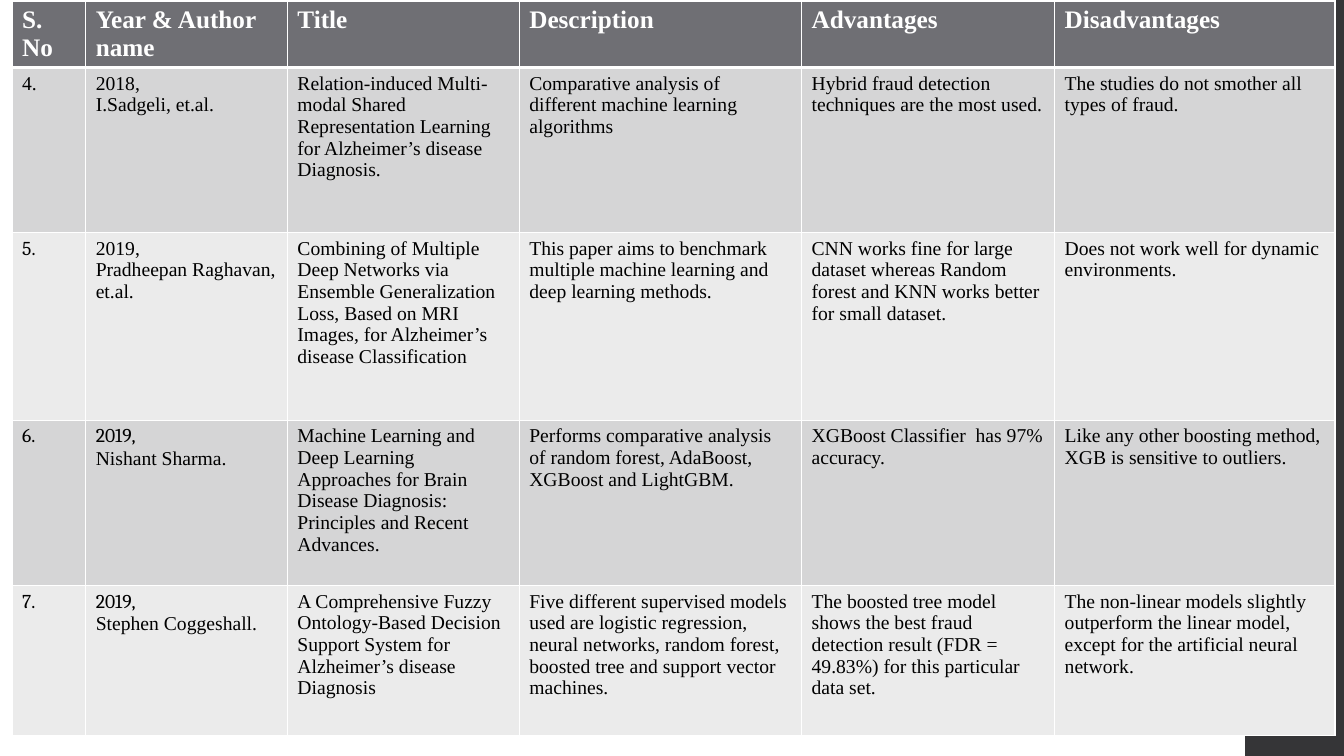
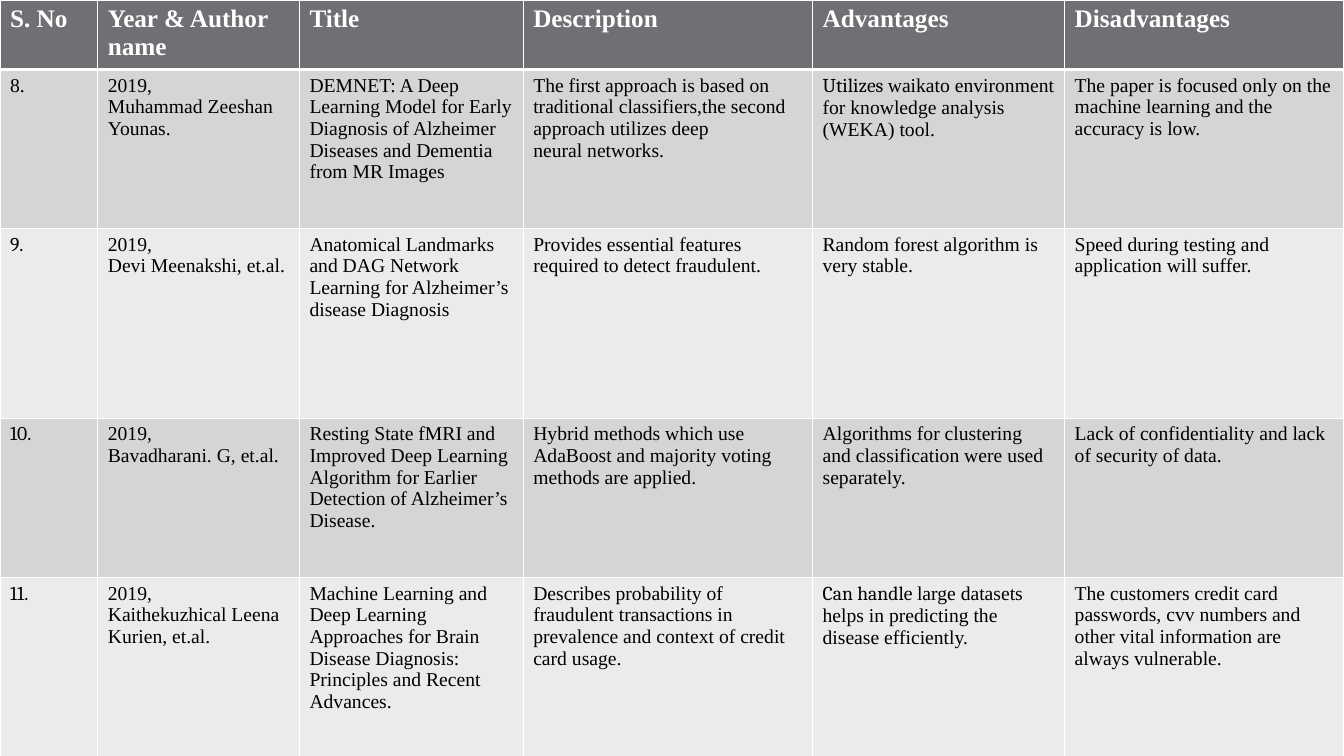
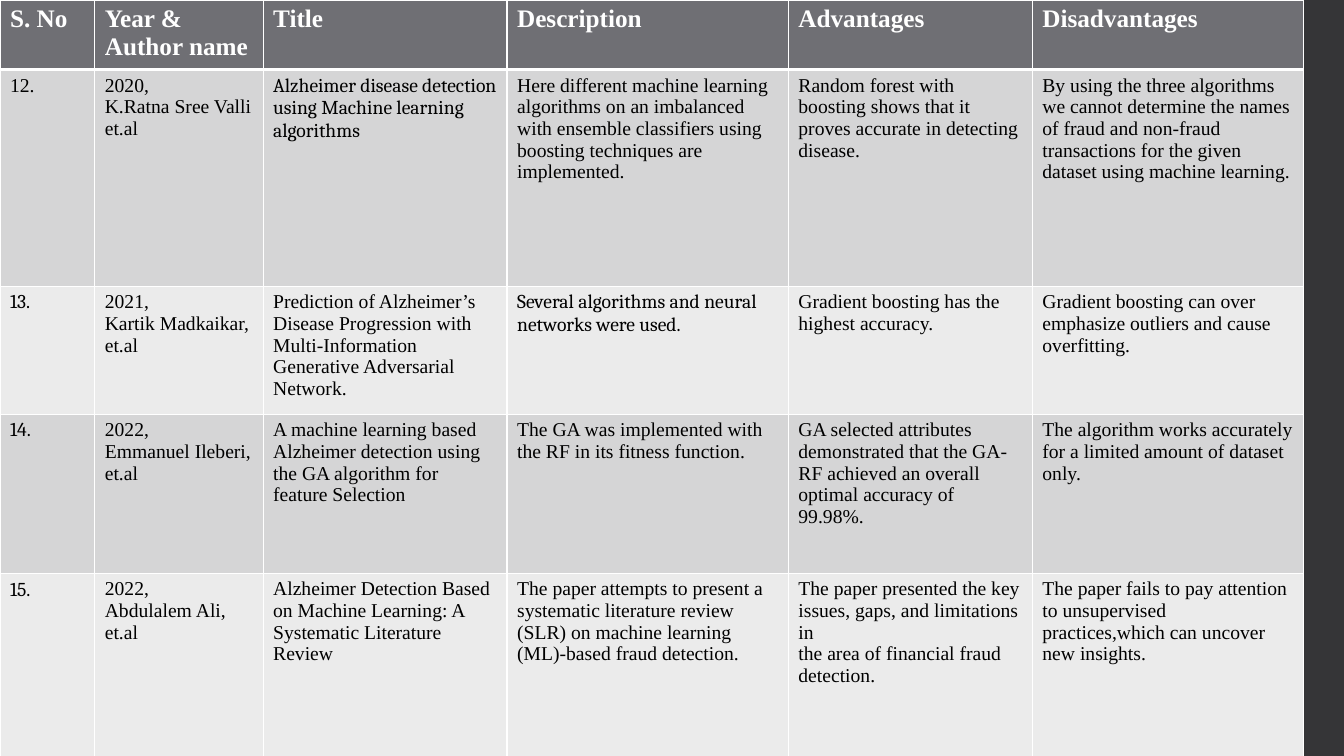
from dataclasses import dataclass

from lxml.etree import SubElement
from pptx import Presentation
from pptx.dml.color import RGBColor
from pptx.enum.shapes import MSO_SHAPE
from pptx.oxml.ns import qn
from pptx.util import Inches, Pt


@dataclass(frozen=True)
class Theme:
    font: str = "Times New Roman"
    alt_font: str = "Cambria"
    head_size: int = 18
    body_size: int = 14
    head_fill: str = "6F6F74"
    row_fills: tuple = ("D5D5D6", "EBEBEB")
    band: str = "353537"
    white: str = "FFFFFF"
    black: str = "000000"
    rule: int = 1
    head_rule: int = 3


class Alt(str):
    pass


THEME = Theme()
WIDTH, HEIGHT = 13.33, 7.5
BAND_LEFT = 12.35
HEADINGS = ("S. No", "Year & Author name", "Title", "Description",
            "Advantages", "Disadvantages")

SURVEYS = [
    {
        "origin": (0.12, 0.01),
        "cols": (0.73, 2, 2.3, 2.8, 2.51, 2.78),
        "rows": (0.66, 1.64, 1.86, 1.64, 1.49),
        "papers": [
            ("4.", "2018,\nI.Sadgeli, et.al.",
             "Relation-induced Multi-modal Shared Representation Learning for Alzheimer’s disease Diagnosis.",
             "Comparative analysis of different machine learning algorithms",
             "Hybrid fraud detection techniques are the most used.",
             "The studies do not smother all types of fraud."),
            (Alt("5."), "2019,\nPradheepan Raghavan, et.al.",
             "Combining of Multiple Deep Networks via Ensemble Generalization Loss, Based on MRI Images, for Alzheimer’s disease Classification",
             "This paper aims to benchmark multiple machine learning and deep learning methods.",
             "CNN works fine for large dataset whereas Random forest and KNN works better for small dataset.",
             "Does not work well for dynamic environments."),
            (Alt("6."), (Alt("2019,"), "\nNishant Sharma."),
             "Machine Learning and Deep Learning Approaches for Brain Disease Diagnosis: Principles and Recent Advances.",
             "Performs comparative analysis of random forest, AdaBoost, XGBoost and LightGBM.",
             "XGBoost Classifier  has 97% accuracy.",
             "Like any other boosting method, XGB is sensitive to outliers."),
            (Alt("7."), (Alt("2019,"), "\nStephen Coggeshall."),
             "A Comprehensive Fuzzy Ontology-Based Decision Support System for Alzheimer’s disease Diagnosis",
             "Five different supervised models used are logistic regression, neural networks, random forest, boosted tree and support vector machines.",
             "The boosted tree model shows the best fraud detection result (FDR = 49.83%) for this particular data set.",
             "The non-linear models slightly outperform the linear model, except for the artificial neural network."),
        ],
    },
    {
        "origin": (0, 0),
        "cols": (0.97, 2, 2.22, 2.87, 2.5, 2.77),
        "rows": (0.69, 1.58, 1.88, 1.58, 1.88),
        "papers": [
            ("8.", "2019,\nMuhammad Zeeshan Younas.",
             "DEMNET: A Deep Learning Model for Early Diagnosis of Alzheimer Diseases and Dementia from MR Images",
             "The first approach is based on traditional classifiers,the second approach utilizes deep\nneural networks.",
             (Alt("Utilizes "), "waikato environment for knowledge analysis (WEKA) tool."),
             "The paper is focused only on the machine learning and the accuracy is low."),
            (Alt("9."), "2019,\nDevi Meenakshi, et.al.",
             "Anatomical Landmarks and DAG Network Learning for Alzheimer’s disease Diagnosis",
             "Provides essential features required to detect fraudulent.",
             "Random forest algorithm is very stable.",
             "Speed during testing and application will suffer."),
            (Alt("10."), "2019,\nBavadharani. G, et.al.",
             "Resting State fMRI and Improved Deep Learning Algorithm for Earlier Detection of Alzheimer’s Disease.",
             "Hybrid methods which use AdaBoost and majority voting methods are applied.",
             "Algorithms for clustering and classification were used separately.",
             "Lack of confidentiality and lack of security of data."),
            (Alt("11."), "2019,\nKaithekuzhical Leena Kurien, et.al.",
             "Machine Learning and Deep Learning Approaches for Brain Disease Diagnosis: Principles and Recent Advances.",
             "Describes probability of fraudulent transactions in prevalence and context of credit card usage.",
             (Alt("Can handle "), "large datasets helps in predicting the disease efficiently."),
             "The customers credit card passwords, cvv numbers and other vital information are always vulnerable."),
        ],
    },
    {
        "origin": (0, 0),
        "cols": (0.94, 1.67, 2.42, 2.79, 2.42, 2.69),
        "rows": (0.69, 2.15, 1.27, 1.58, 2.15),
        "papers": [
            ("12.", "2020,\nK.Ratna Sree Valli et.al",
             Alt("Alzheimer disease detection using Machine learning algorithms"),
             "Here different machine learning algorithms on an imbalanced with ensemble classifiers using boosting techniques are implemented.",
             "Random forest with boosting shows that it proves accurate in detecting disease.",
             "By using the three algorithms we cannot determine the names of fraud and non-fraud transactions for the given dataset using machine learning."),
            (Alt("13."), "2021,\nKartik Madkaikar, et.al",
             "Prediction of Alzheimer’s Disease Progression with Multi-Information Generative Adversarial Network.",
             Alt("Several algorithms and neural networks were used."),
             "Gradient boosting has the highest accuracy.",
             "Gradient boosting can over emphasize outliers and cause overfitting."),
            (Alt("14."), "2022,\nEmmanuel Ileberi, et.al",
             "A machine learning based Alzheimer detection using the GA algorithm for feature Selection",
             "The GA was implemented with the RF in its fitness function.",
             "GA selected attributes demonstrated that the GA-RF achieved an overall optimal accuracy of 99.98%.",
             "The algorithm works accurately for a limited amount of dataset only."),
            (Alt("15."), "2022,\nAbdulalem Ali, et.al",
             "Alzheimer Detection Based on Machine Learning: A Systematic Literature Review",
             "The paper attempts to present a systematic literature review (SLR) on machine learning (ML)-based fraud detection.",
             "The paper presented the key issues, gaps, and limitations in\nthe area of financial fraud detection.",
             "The paper fails to pay attention to unsupervised practices,which can uncover new insights."),
        ],
    },
]


def rgb(color):
    return RGBColor.from_string(color)


def add_master_band(prs, slide):
    sp = slide.shapes.add_shape(MSO_SHAPE.RECTANGLE, Inches(BAND_LEFT), 0,
                                Inches(WIDTH - BAND_LEFT), Inches(HEIGHT))
    sp.shadow.inherit = False
    sp.fill.solid()
    sp.fill.fore_color.rgb = rgb(THEME.band)
    sp.line.fill.background()
    sp.element.nvSpPr.cNvPr.set("id", "20")
    prs.slide_master.shapes.element.insert(2, sp.element)


def set_borders(cell, row):
    widths = {
        "a:lnL": THEME.rule,
        "a:lnR": THEME.rule,
        "a:lnT": THEME.head_rule if row == 1 else THEME.rule,
        "a:lnB": THEME.head_rule if row == 0 else THEME.rule,
    }
    tc_pr = cell._tc.get_or_add_tcPr()
    for tag, width in widths.items():
        ln = SubElement(tc_pr, qn(tag), w=str(Pt(width)))
        fill = SubElement(ln, qn("a:solidFill"))
        SubElement(fill, qn("a:srgbClr"), val=THEME.white)


def write_cell(cell, content, row):
    header = row == 0
    tf = cell.text_frame
    p = tf.paragraphs[0]
    for part in (content if isinstance(content, tuple) else (content,)):
        for i, line in enumerate(part.split("\n")):
            if i:
                p = tf.add_paragraph()
            if line:
                r = p.add_run()
                r.text = line
                r.font.name = THEME.alt_font if isinstance(part, Alt) else THEME.font
    for p in tf.paragraphs:
        p.font.size = Pt(THEME.head_size if header else THEME.body_size)
        p.font.bold = header
        p.font.color.rgb = rgb(THEME.white if header else THEME.black)


def add_survey_table(slide, origin, cols, rows, papers):
    left, top = origin
    table = slide.shapes.add_table(
        len(rows), len(cols), Inches(left), Inches(top),
        Inches(sum(cols)), Inches(sum(rows))).table
    for column, width in zip(table.columns, cols):
        column.width = Inches(width)
    for row, (height, values) in enumerate(zip(rows, [HEADINGS, *papers])):
        table.rows[row].height = Inches(height)
        color = THEME.row_fills[(row - 1) % 2] if row else THEME.head_fill
        for col, content in enumerate(values):
            cell = table.cell(row, col)
            set_borders(cell, row)
            cell.fill.solid()
            cell.fill.fore_color.rgb = rgb(color)
            write_cell(cell, content, row)


def main():
    prs = Presentation()
    prs.slide_width, prs.slide_height = Inches(WIDTH), Inches(HEIGHT)
    blank = prs.slide_layouts[6]
    for i, survey in enumerate(SURVEYS):
        slide = prs.slides.add_slide(blank)
        if i == 0:
            add_master_band(prs, slide)
        add_survey_table(slide, **survey)
    prs.save("out.pptx")


if __name__ == "__main__":
    main()
